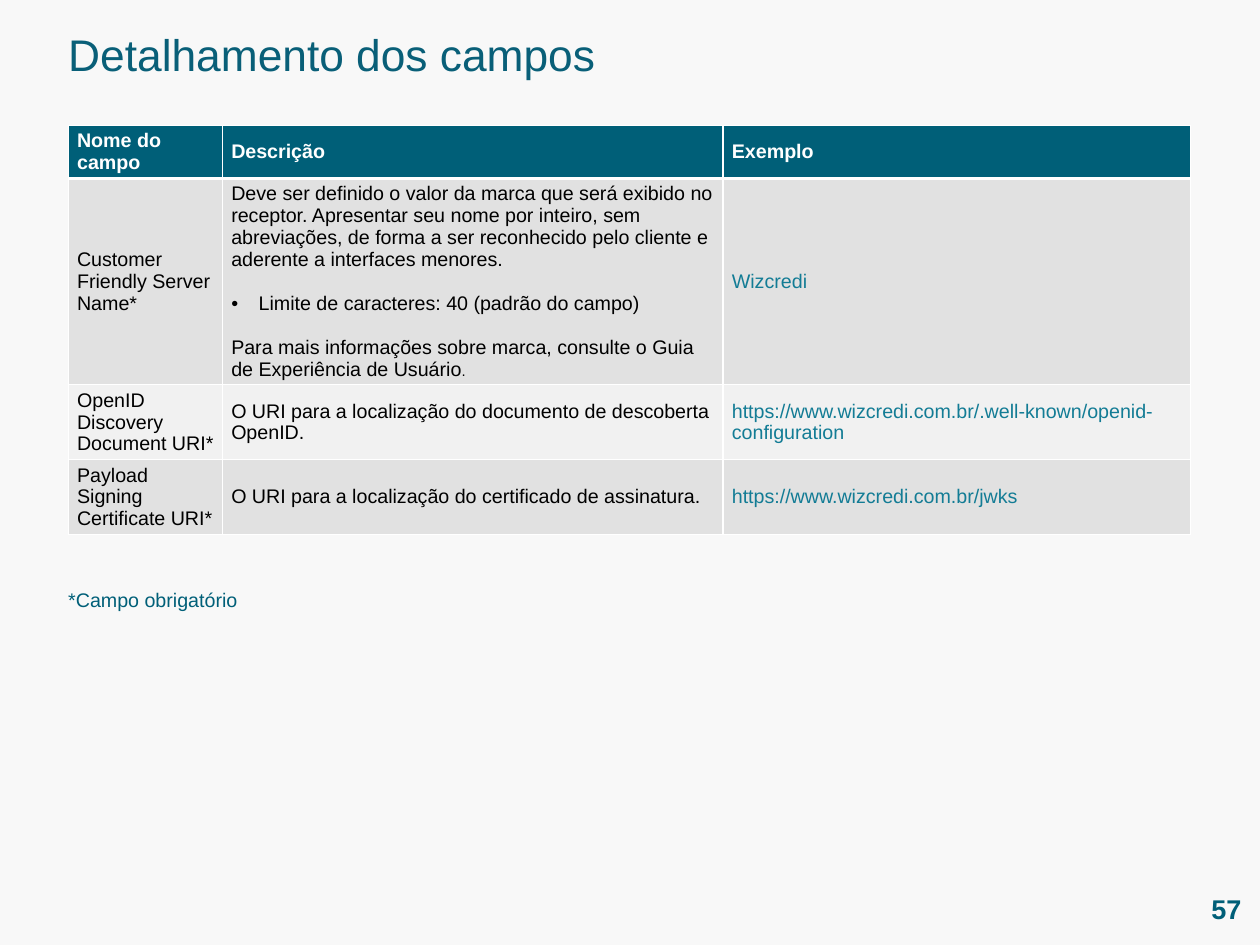
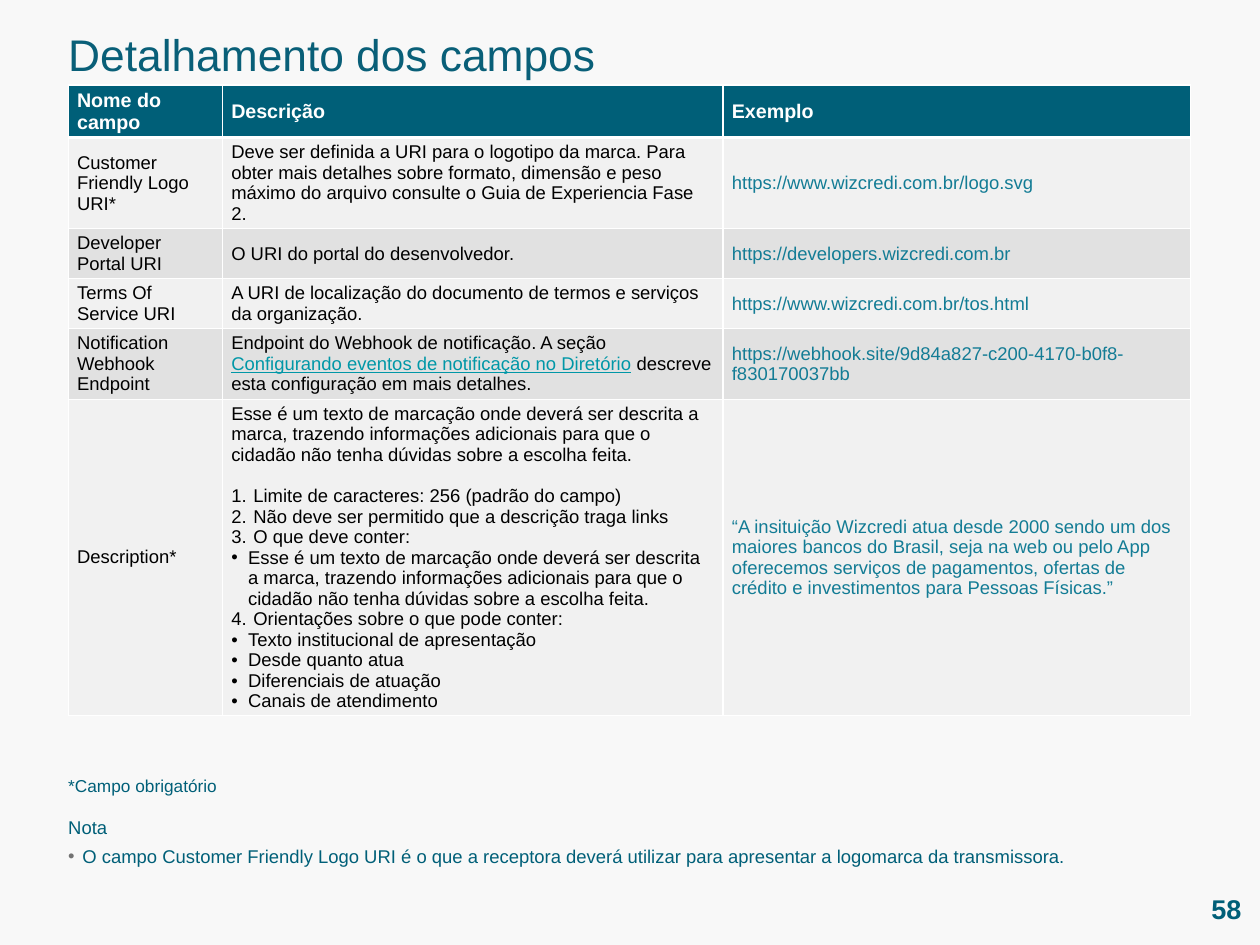
from dataclasses import dataclass

from lxml import etree
from pptx import Presentation
from pptx.dml.color import RGBColor
from pptx.enum.text import MSO_ANCHOR, MSO_AUTO_SIZE, PP_ALIGN
from pptx.oxml.ns import qn
from pptx.util import Inches, Pt

MIDDLE, TOP = MSO_ANCHOR.MIDDLE, MSO_ANCHOR.TOP
LEFT, RIGHT = PP_ALIGN.LEFT, PP_ALIGN.RIGHT
NO_FIT = MSO_AUTO_SIZE.NONE


@dataclass(frozen=True)
class Theme:
    font: str = "Arial"
    paper: str = "F8F8F8"
    teal: str = "005F78"
    title: str = "095F78"
    example: str = "137C95"
    link: str = "0097A7"
    ink: str = "000000"
    white: str = "FFFFFF"
    note_bullet: str = "727272"
    bands: tuple = ("E1E1E1", "F1F1F1")
    title_size: int = 36
    number_size: int = 22
    header_size: int = 16
    stop_size: int = 12


@dataclass(frozen=True)
class Line:
    text: object
    mark: str = ""
    indent: float = 0
    before: float = 0
    start: int = 1
    mark_color: str = Theme.ink


THEME = Theme()
WIDTH, HEIGHT = 14.22, 10.67
MARGIN = 0.77
COLUMNS = (1.74, 5.65, 5.28)
TITLE = "Detalhamento dos campos"
HEADER = ("Nome do campo", "Descrição", "Exemplo")
REQUIRED = "*Campo obrigatório"


def numbered(text, before=0, start=1):
    return Line(text, "number", 0.25, before, start)


def bullet(text, indent=0.19, before=0):
    return Line(text, "•", indent, before)


PAGES = [
    {
        "number": "57", "table_top": 1.42, "size": 16, "first_band": 0,
        "heights": (0.59, 2.31, 0.85, 0.83),
        "rows": [
            ("Customer Friendly Server Name*",
             [Line("Deve ser definido o valor da marca que será exibido no receptor. "
                   "Apresentar seu nome por inteiro, sem abreviações, de forma a ser "
                   "reconhecido pelo cliente e aderente a interfaces menores."),
              bullet("Limite de caracteres: 40 (padrão do campo)", 0.31, 18),
              Line([("Para mais informações sobre marca, consulte o Guia de "
                     "Experiência de Usuário", ""), (".", "stop")], before=18)],
             "Wizcredi"),
            ("OpenID Discovery Document URI*",
             "O URI para a localização do documento de descoberta OpenID.",
             "https://www.wizcredi.com.br/.well-known/openid-configuration"),
            ("Payload Signing Certificate URI*",
             "O URI para a localização do certificado de assinatura.",
             "https://www.wizcredi.com.br/jwks"),
        ],
        "required_top": 6.54, "required_size": 16, "note": [],
    },
    {
        "number": "58", "table_top": 0.96, "size": 15, "first_band": 1,
        "heights": (0.59, 1.03, 0.56, 0.56, 0.79, 3.57),
        "rows": [
            ("Customer Friendly Logo URI*",
             "Deve ser definida a URI para o logotipo da marca. Para obter mais "
             "detalhes sobre formato, dimensão e peso máximo do arquivo consulte o "
             "Guia de Experiencia Fase 2.",
             "https://www.wizcredi.com.br/logo.svg"),
            ("Developer Portal URI", "O URI do portal do desenvolvedor.",
             "https://developers.wizcredi.com.br"),
            ("Terms Of Service URI",
             "A URI de localização do documento de termos e serviços da organização.",
             "https://www.wizcredi.com.br/tos.html"),
            ("Notification Webhook Endpoint",
             [Line([("Endpoint do Webhook de notificação. A seção ", ""),
                    ("Configurando eventos de notificação no Diretório", "link"),
                    (" descreve esta configuração em mais detalhes.", "")])],
             "https://webhook.site/9d84a827-c200-4170-b0f8-f830170037bb"),
            ("Description*",
             [Line("Esse é um texto de marcação onde deverá ser descrita a marca, "
                   "trazendo informações adicionais para que o cidadão não tenha "
                   "dúvidas sobre a escolha feita."),
              numbered("Limite de caracteres: 256 (padrão do campo)", 17),
              numbered("Não deve ser permitido que a descrição traga links"),
              numbered("O que deve conter:"),
              bullet("Esse é um texto de marcação onde deverá ser descrita a marca, "
                     "trazendo informações adicionais para que o cidadão não tenha "
                     "dúvidas sobre a escolha feita."),
              numbered("Orientações sobre o que pode conter:", start=4),
              bullet("Texto institucional de apresentação"),
              bullet("Desde quanto atua"),
              bullet("Diferenciais de atuação"),
              bullet("Canais de atendimento")],
             "“A insituição Wizcredi atua desde 2000 sendo um dos maiores bancos do "
             "Brasil, seja na web ou pelo App oferecemos serviços de pagamentos, "
             "ofertas de crédito e investimentos para Pessoas Físicas.”"),
        ],
        "required_top": 8.64, "required_size": 14,
        "note": [
            Line("Nota"),
            Line("O campo Customer Friendly Logo URI é o que a receptora deverá "
                 "utilizar para apresentar a logomarca da transmissora.",
                 "•", 0.16, 6, mark_color=THEME.note_bullet),
        ],
    },
]


def rgb(value):
    return RGBColor.from_string(value)


def add_mark(para, line):
    props = para._p.get_or_add_pPr()
    props.set("marL", str(Inches(line.indent)))
    props.set("indent", str(-Inches(line.indent)))
    color = etree.SubElement(props, qn("a:buClr"))
    etree.SubElement(color, qn("a:srgbClr"), val=line.mark_color)
    etree.SubElement(props, qn("a:buFont"), typeface=THEME.font)
    if line.mark == "number":
        mark = etree.SubElement(props, qn("a:buAutoNum"), type="arabicPeriod")
        if line.start > 1:
            mark.set("startAt", str(line.start))
    else:
        etree.SubElement(props, qn("a:buChar"), char=line.mark)


def write(frame, content, size, color, bold=False, align=LEFT):
    lines = [Line(content)] if isinstance(content, str) else content
    for index, line in enumerate(lines):
        para = frame.add_paragraph() if index else frame.paragraphs[0]
        para.alignment = align
        para.space_before = Pt(line.before)
        if line.mark:
            add_mark(para, line)
        font = para.font
        font.name, font.size, font.bold = THEME.font, Pt(size), bold
        font.color.rgb = rgb(color)
        spans = [(line.text, "")] if isinstance(line.text, str) else line.text
        for text, style in spans:
            span = para.add_run()
            span.text = text
            if style == "link":
                span.font.color.rgb = rgb(THEME.link)
                span.font.underline = True
            elif style == "stop":
                span.font.size = Pt(THEME.stop_size)


def prepare(box, anchor):
    frame = box.text_frame
    frame.word_wrap = True
    frame.auto_size = NO_FIT
    frame.vertical_anchor = anchor
    frame.margin_left = frame.margin_right = 0
    frame.margin_top = frame.margin_bottom = 0
    return frame


def add_text(page, place, content, size, anchor=MIDDLE, **style):
    box = page.shapes.add_textbox(*map(Inches, place))
    write(prepare(box, anchor), content, size, THEME.teal, **style)


def add_title(page):
    title = page.shapes.title
    title.left, title.top = Inches(MARGIN), Inches(0.31)
    title.width, title.height = Inches(7.39), Inches(0.61)
    write(prepare(title, TOP), TITLE, THEME.title_size, THEME.title)


def add_borders(cell, top, bottom):
    props = cell._tc.get_or_add_tcPr()
    for side, points in (("L", 1), ("R", 1), ("T", top), ("B", bottom)):
        edge = etree.SubElement(props, qn(f"a:ln{side}"), w=str(Pt(points)))
        fill = etree.SubElement(edge, qn("a:solidFill"))
        etree.SubElement(fill, qn("a:srgbClr"), val=THEME.white)


def add_fields(page, data):
    heights = data["heights"]
    rows = [HEADER] + data["rows"]
    place = (MARGIN, data["table_top"], sum(COLUMNS), sum(heights))
    table = page.shapes.add_table(len(rows), len(COLUMNS), *map(Inches, place)).table
    for column, width in zip(table.columns, COLUMNS):
        column.width = Inches(width)
    for r, (values, height) in enumerate(zip(rows, heights)):
        table.rows[r].height = Inches(height)
        header = r == 0
        band = THEME.bands[(r - 1 + data["first_band"]) % 2]
        for c, content in enumerate(values):
            cell = table.cell(r, c)
            cell.vertical_anchor = MIDDLE
            add_borders(cell, 3 if r == 1 else 1, 3 if header else 1)
            cell.fill.solid()
            cell.fill.fore_color.rgb = rgb(THEME.teal if header else band)
            body_color = THEME.example if c == 2 else THEME.ink
            write(cell.text_frame, content,
                  THEME.header_size if header else data["size"],
                  THEME.white if header else body_color, bold=header)


def build_page(deck, data):
    page = deck.slides.add_slide(deck.slide_layouts[5])
    add_title(page)
    add_fields(page, data)
    add_text(page, (MARGIN, data["required_top"], 2.22, 0.47), REQUIRED,
             data["required_size"])
    if data["note"]:
        add_text(page, (MARGIN, 9.21, WIDTH - 2 * MARGIN, 0.59), data["note"],
                 data["size"], TOP)
    add_text(page, (13.2, 10.03, 0.81, 0.47), data["number"],
             THEME.number_size, bold=True, align=RIGHT)


def main():
    deck = Presentation()
    deck.slide_width, deck.slide_height = Inches(WIDTH), Inches(HEIGHT)
    backdrop = deck.slide_master.background.fill
    backdrop.solid()
    backdrop.fore_color.rgb = rgb(THEME.paper)
    for data in PAGES:
        build_page(deck, data)
    deck.save("out.pptx")


if __name__ == "__main__":
    main()
